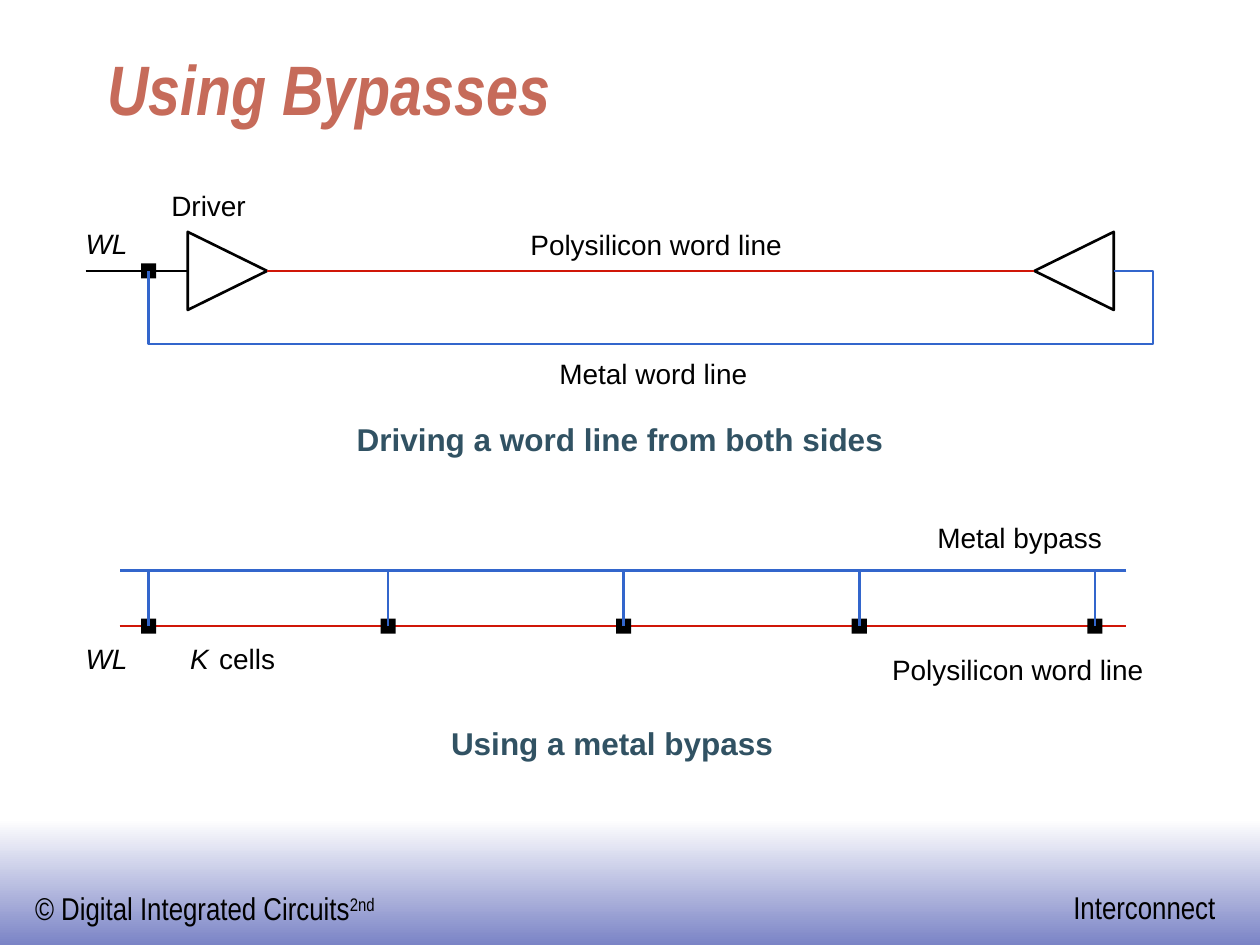
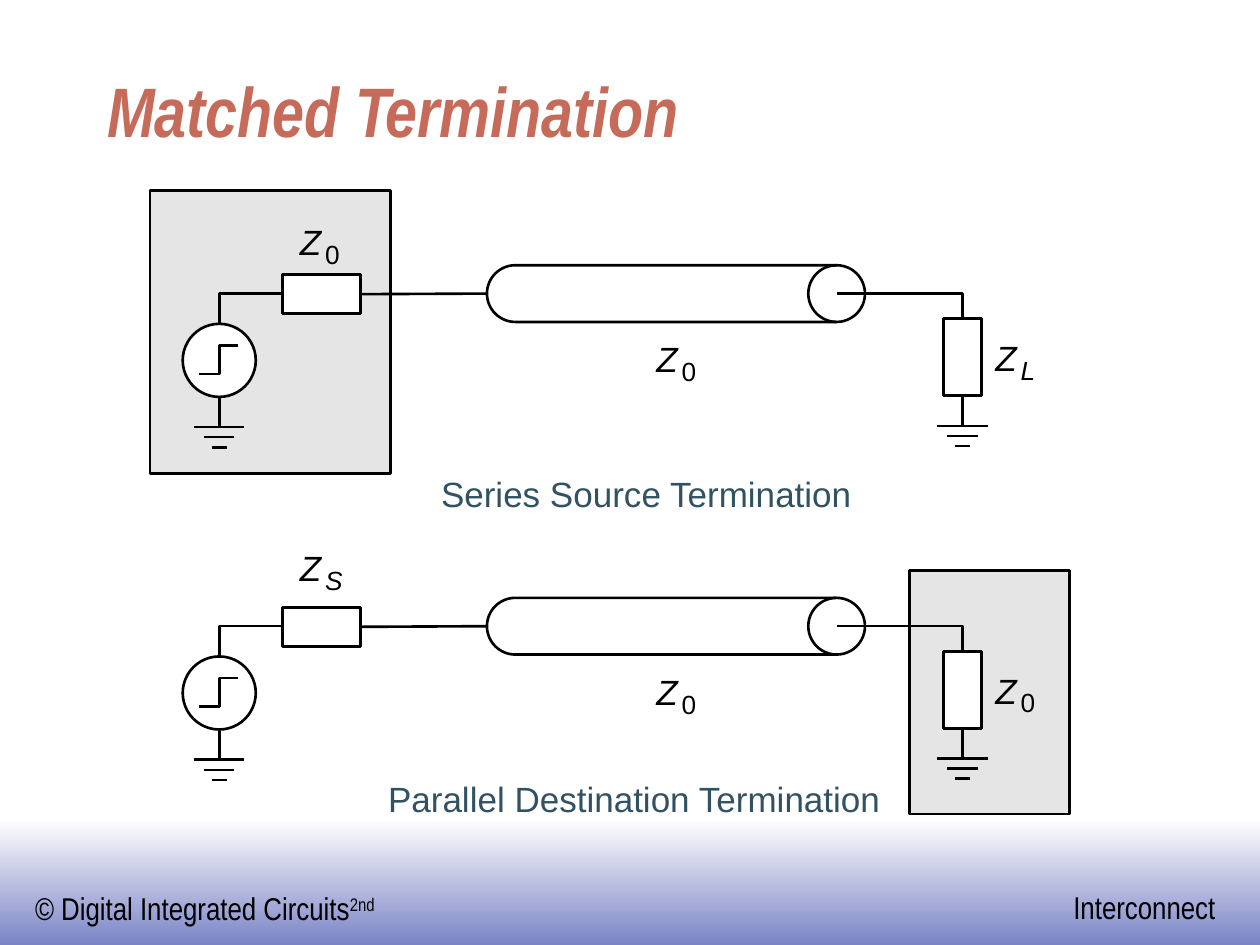
import math

from pptx import Presentation
from pptx import util as u
from pptx.dml import color as dml
from pptx.enum import shapes, text
from pptx.oxml import ns
from lxml import etree

BLACK, WHITE, GREY = "000000", "FFFFFF", "E5E5E5"
TITLE_RED, CAPTION_BLUE, BAND_BLUE = "C66B5A", "315263", "7B84C6"
POLY_RED, METAL_BLUE = "D01608", "3366CC"
NARROW = "Arial Narrow"
ROW_STEP = 2.64


def rgb(value):
    return dml.RGBColor.from_string(value)


def add_run(paragraph, content, size=16, font="Arial", color=BLACK, bold=False,
            italic=False, baseline=None):
    run = paragraph.add_run()
    run.text = content
    run.font.size = u.Pt(size)
    run.font.name = font
    run.font.color.rgb = rgb(color)
    run.font.bold = bold
    run.font.italic = italic
    if baseline:
        run.font._element.set("baseline", str(baseline))


def add_label(slide, content, left, top, width, height=0.27, margins=(0, 0), **style):
    box = slide.shapes.add_textbox(*map(u.Inches, (left, top, width, height)))
    frame = box.text_frame
    frame.margin_left = frame.margin_right = u.Inches(margins[0])
    frame.margin_top = frame.margin_bottom = u.Inches(margins[1])
    frame.word_wrap = False
    frame.auto_size = text.MSO_AUTO_SIZE.SHAPE_TO_FIT_TEXT
    add_run(frame.paragraphs[0], content, **style)
    return box


def format_shape(shape, fill=None, line=BLACK):
    shape.shadow.inherit = False
    if fill:
        shape.fill.solid()
        shape.fill.fore_color.rgb = rgb(fill)
    else:
        shape.fill.background()
    if line:
        shape.line.color.rgb = rgb(line)
        shape.line.width = u.Pt(1.5)
    else:
        shape.line.fill.background()
    return shape


def add_preset(slide, kind, left, top, width, height, fill=None, line=BLACK):
    shape = slide.shapes.add_shape(kind, *map(u.Inches, (left, top, width, height)))
    return format_shape(shape, fill, line)


def add_box(slide, *place, **style):
    return add_preset(slide, shapes.MSO_SHAPE.RECTANGLE, *place, **style)


def add_circle(slide, center_x, center_y, diameter, fill=None):
    return add_preset(slide, shapes.MSO_SHAPE.OVAL, center_x - diameter / 2,
                      center_y - diameter / 2, diameter, diameter, fill=fill)


def add_outline(slide, *strokes, color=BLACK, close=False):
    builder = None
    for points in strokes:
        start, *corners = [(u.Inches(x), u.Inches(y)) for x, y in points]
        if builder:
            builder.move_to(*start)
        else:
            builder = slide.shapes.build_freeform(*start, scale=1.0)
        builder.add_line_segments(corners, close=close)
    return format_shape(builder.convert_to_shape(), line=color)


def add_wire(slide, x1, y1, x2, y2, color=BLACK, width=1.5):
    wire = slide.shapes.add_connector(
        shapes.MSO_CONNECTOR.STRAIGHT, *map(u.Inches, (x1, y1, x2, y2)))
    wire.line.color.rgb = rgb(color)
    wire.line.width = u.Pt(width)
    etree.SubElement(wire.element.spPr, ns.qn("a:effectLst"))
    return wire


def add_shared_band(slide):
    layout = slide.slide_layout
    for placeholder in list(layout.placeholders):
        if placeholder.placeholder_format.type != shapes.PP_PLACEHOLDER.TITLE:
            layout.shapes.element.remove(placeholder.element)
    band = add_box(slide, 0, 6.5, 10, 1, line=None)
    band.fill.gradient()
    band.fill.gradient_angle = 270
    for stop, position, color in zip(band.fill.gradient_stops, (0, 1), (WHITE, BAND_BLUE)):
        stop.position = position
        stop.color.rgb = rgb(color)
    footer = dict(margins=(0.1, 0.05), size=18, font=NARROW)
    rights = add_label(slide, "© Digital Integrated Circuits", 0.18, 7.01, 2.95, 0.4, **footer)
    add_run(rights.text_frame.paragraphs[0], "2nd", size=18, font=NARROW, baseline=30000)
    chapter = add_label(slide, "Interconnect", 8.42, 7, 1.35, 0.4, **footer)
    for shape in (band, rights, chapter):
        layout.shapes.element.append(shape.element)


def set_title(slide, content, top):
    title = slide.shapes.title
    title.left, title.top, title.width, title.height = map(u.Inches, (0.75, top, 8.5, 0.75))
    frame = title.text_frame
    frame.auto_size = text.MSO_AUTO_SIZE.NONE
    frame.vertical_anchor = text.MSO_ANCHOR.BOTTOM
    paragraph = frame.paragraphs[0]
    paragraph.alignment = text.PP_ALIGN.LEFT
    add_run(paragraph, content, size=40, font=NARROW, color=TITLE_RED, bold=True, italic=True)


def add_driver(slide, tip_x, base_x, y):
    corners = [(tip_x, y), (base_x, y + 0.31), (base_x, y - 0.31)]
    add_outline(slide, corners, close=True)


def add_contact(slide, x, y):
    add_box(slide, x - 0.06, y - 0.06, 0.12, 0.12, fill=BLACK, line=None)


def draw_two_sided_driving(slide):
    line_y = 2.15
    add_driver(slide, 2.12, 1.49, line_y)
    add_driver(slide, 8.21, 8.84, line_y)
    add_wire(slide, 8.21, line_y, 2.12, line_y, POLY_RED)
    add_wire(slide, 0.68, line_y, 1.49, line_y, width=1)
    add_contact(slide, 1.18, line_y)
    add_outline(slide, [(1.18, line_y), (1.18, 2.73), (9.15, 2.73), (9.15, line_y),
                        (8.84, line_y)], color=METAL_BLUE)
    add_label(slide, "Driver", 1.36, 1.5, 0.65)
    add_label(slide, "WL", 0.68, 1.8, 0.4, italic=True)
    add_label(slide, "Polysilicon word line", 4.21, 1.81, 2.05)
    add_label(slide, "Metal word line", 4.44, 2.83, 1.55)
    add_label(slide, "Driving a word line from both sides", 2.83, 3.33, 4.25, 0.3,
              size=18, color=CAPTION_BLUE, bold=True)


def draw_metal_bypass(slide):
    metal_y, poly_y = 4.53, 4.97
    add_wire(slide, 0.95, poly_y, 8.94, poly_y, POLY_RED)
    add_wire(slide, 8.94, metal_y, 0.95, metal_y, METAL_BLUE)
    last_tap, tap_step = 8.69, 1.87
    for tap_x in [1.18] + [last_tap - tap_step * i for i in range(4)]:
        add_contact(slide, tap_x, poly_y)
        add_wire(slide, tap_x, poly_y, tap_x, metal_y, METAL_BLUE,
                 width=1 if tap_x == last_tap else 1.5)
    add_label(slide, "Metal bypass", 7.44, 4.13, 1.35)
    add_label(slide, "WL", 0.68, 5.09, 0.4, italic=True)
    add_label(slide, "K", 1.51, 5.09, 0.17, italic=True)
    add_label(slide, "cells", 1.74, 5.09, 0.5)
    add_label(slide, "Polysilicon word line", 7.08, 5.18, 2.05)
    add_label(slide, "Using a metal bypass", 3.58, 5.75, 2.6, 0.3,
              size=18, color=CAPTION_BLUE, bold=True)


def add_impedance(slide, subscript, left, top):
    add_label(slide, "Z", left, top, 0.19, 0.33, size=20, italic=True)
    add_label(slide, subscript, left + 0.2, top + 0.14, 0.16, 0.25, size=15,
              italic=subscript.isalpha())


def add_ground(slide, x, y):
    for i, half_width in enumerate((0.2, 0.12, 0.06)):
        bar_y = y + 0.08 * i
        add_wire(slide, x + half_width, bar_y, x - half_width, bar_y)


def add_source(slide, x, y, fill):
    center_y = y + 0.53
    add_outline(slide, [(2.24, y), (x, y), (x, y + 0.24)], [(x, y + 0.83), (x, y + 1.06)])
    add_ground(slide, x, y + 1.06)
    add_circle(slide, x, center_y, 0.58, fill)
    add_outline(slide, [(x + 0.15, center_y - 0.12), (x, center_y - 0.12),
                        (x, center_y + 0.11), (x - 0.16, center_y + 0.11)])


def add_cable(slide, left, right, y, radius=0.225):
    add_circle(slide, right, y, 2 * radius)
    steps = 32
    angles = [math.pi * i / steps for i in range(steps + 1)]
    rounded_end = [(left - radius * math.sin(a), y - radius * math.cos(a)) for a in angles]
    add_outline(slide, [(right, y - radius), *rounded_end, (right, y + radius)])


def add_load(slide, x, y, fill):
    add_outline(slide, [(6.64, y), (x, y), (x, y + 0.2)])
    load = add_box(slide, x - 0.15, y + 0.2, 0.3, 0.61, fill=fill)
    add_wire(slide, x, y + 0.81, x, y + 1.05).begin_connect(load, 2)
    add_ground(slide, x, y + 1.05)


def draw_termination(slide, y, source_subscript, load_subscript, source_label_top,
                     source_fill=None, load_fill=None):
    add_source(slide, 1.74, y, source_fill)
    resistor = add_box(slide, 2.24, y - 0.15, 0.62, 0.31, fill=source_fill)
    add_wire(slide, 2.86, y, 3.87, y).begin_connect(resistor, 3)
    add_cable(slide, 4.09, 6.64, y)
    add_load(slide, 7.64, y, load_fill)
    add_impedance(slide, source_subscript, 2.38, source_label_top)
    add_impedance(slide, "0", 5.21, y + 0.35)
    add_impedance(slide, load_subscript, 7.9, y + 0.34)


def main():
    presentation = Presentation()
    presentation.slide_width = u.Inches(10)
    presentation.slide_height = u.Inches(7.5)
    layout = presentation.slide_layouts[5]

    bypasses = presentation.slides.add_slide(layout)
    add_shared_band(bypasses)
    set_title(bypasses, "Using Bypasses", 0.33)
    draw_two_sided_driving(bypasses)
    draw_metal_bypass(bypasses)

    termination = presentation.slides.add_slide(layout)
    set_title(termination, "Matched Termination", 0.5)
    add_box(termination, 7.22, 4.53, 1.27, 1.93, fill=GREY)
    add_box(termination, 1.19, 1.51, 1.91, 2.25, fill=GREY)
    series_y = 2.33
    draw_termination(termination, series_y, "0", "L", 1.75, source_fill=WHITE)
    draw_termination(termination, series_y + ROW_STEP, "S", "0", 4.34, load_fill=WHITE)
    caption = dict(height=0.33, size=20, color=CAPTION_BLUE)
    add_label(termination, "Series Source Termination", 3.5, 3.75, 3.35, **caption)
    add_label(termination, "Parallel Destination Termination", 3.08, 6.17, 4, **caption)

    presentation.save("out.pptx")


if __name__ == "__main__":
    main()
